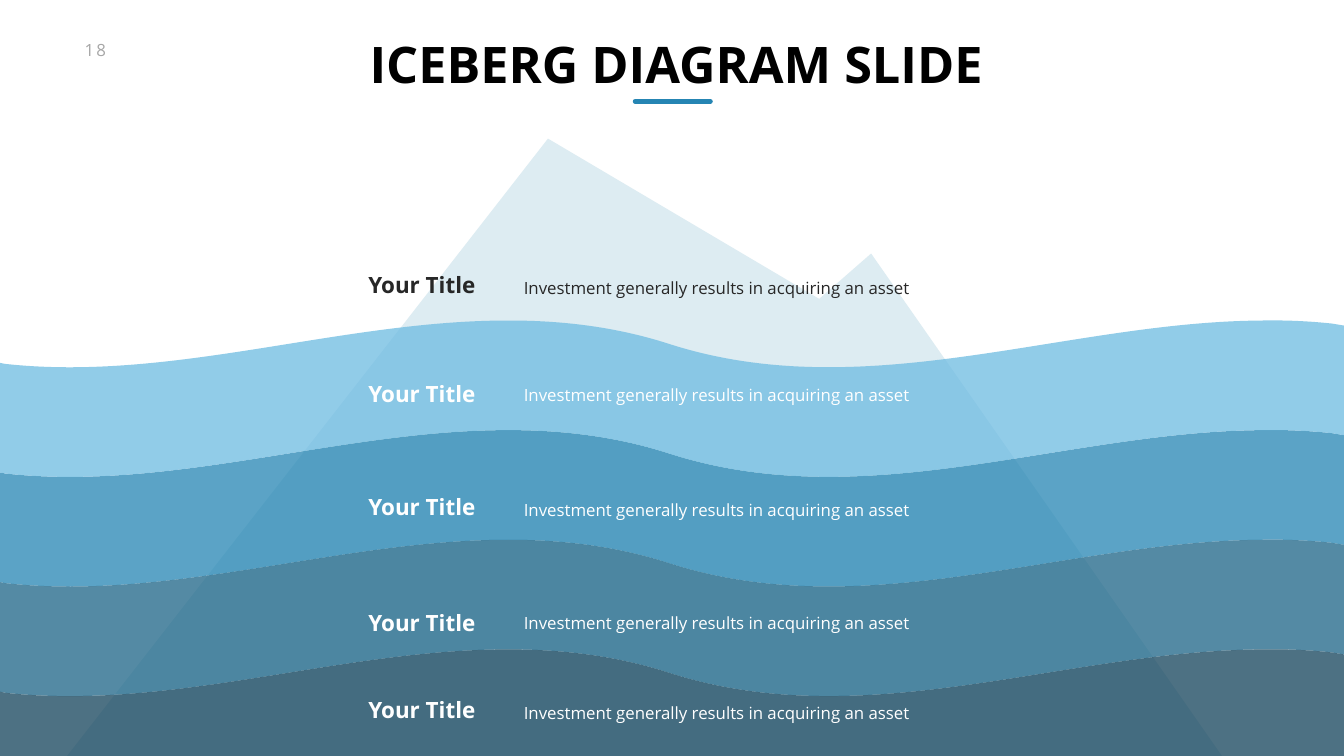
import pptx
import pptx.dml.color
import pptx.enum.shapes
import pptx.enum.text
import pptx.oxml
import pptx.oxml.ns
import pptx.util

WIDTH, HEIGHT = 26.66, 15
FONT = "Open Sans"
COLORS = {
    "number": "A6A6A6", "title": "000000", "accent": "2585B3",
    "dark": "272727", "light": "FFFFFF", "iceberg": "DDECF2",
    "surface": "6DBBE1", "shallow": "2585B3", "middle": "1C6486", "deep": "12425A",
}

# Wave crest, left to right: one point is a line, three points a cubic curve
WAVE_TOP, WAVE_STEP = 6.36, 2.175
CREST = [
    [(0, 0.84)],
    [(0.1, 0.86)],
    [(3.38, 1.22), (6.69, 0.02), (9.98, 0)],
    [(11.07, -0.01), (12.17, 0.11), (13.26, 0.46)],
    [(17.16, 1.72), (21.1, 0.03), (25.01, 0)],
    [(25.48, -0.01), (25.95, 0.01), (26.42, 0.06)],
    [(WIDTH, 0.1)],
]

# Heading top, description top, text colour
ROWS = [(5.33, 5.3, "dark"), (7.48, 7.42, "light"), (9.74, 9.71, "light"),
        (12.03, 11.95, "light"), (13.76, 13.73, "light")]


def rgb(name):
    return pptx.dml.color.RGBColor.from_string(COLORS[name])


def emu(point):
    return tuple(pptx.util.Inches(value) for value in point)


def add_drawing_element(parent, tag, **attributes):
    element = pptx.oxml.parse_xml(f"<a:{tag} {pptx.oxml.ns.nsdecls('a')}/>")
    for name, value in attributes.items():
        element.set(name, str(value))
    parent.append(element)
    return element


def bend_segments(shape, segments):
    """Turn the straight segments that have control points into curves."""
    lines = list(shape._element.iter(pptx.oxml.ns.qn("a:lnTo")))
    for line, segment in zip(lines, segments[1:]):
        if len(segment) == 3:
            parent = line.getparent()
            curve = add_drawing_element(parent, "cubicBezTo")
            for x, y in map(emu, segment):
                add_drawing_element(curve, "pt", x=x - shape.left, y=y - shape.top)
            parent.replace(line, curve)


def add_outline(slide, segments, color, opacity=100):
    """Draw a closed, filled outline from segments in inches."""
    ends = [emu(segment[-1]) for segment in segments]
    builder = slide.shapes.build_freeform(*ends[0])
    builder.add_line_segments(ends[1:], close=True)
    shape = builder.convert_to_shape()
    bend_segments(shape, segments)
    shape.shadow.inherit = False
    shape.line.fill.background()
    shape.fill.solid()
    shape.fill.fore_color.rgb = rgb(color)
    if opacity < 100:
        fill_color = shape._element.spPr.find(".//" + pptx.oxml.ns.qn("a:srgbClr"))
        add_drawing_element(fill_color, "alpha", val=opacity * 1000)


def shift(segments, distance):
    return [[(x, y + distance) for x, y in segment] for segment in segments]


def reverse(segments):
    """Walk the same segments from right to left."""
    backward = [[segments[-1][-1]]]
    for index in range(len(segments) - 1, 0, -1):
        controls = segments[index][:-1]
        backward.append(controls[::-1] + [segments[index - 1][-1]])
    return backward


def add_wave(slide, level, color):
    upper = shift(CREST, WAVE_TOP + level * WAVE_STEP)
    lower = reverse(shift(upper, WAVE_STEP))
    add_outline(slide, upper + lower, color, opacity=75)


def add_text(slide, text, box, font, color, frame_format=None, paragraph_format=None):
    """Place one line of text; each format is a dict of attribute values."""
    frame = slide.shapes.add_textbox(*emu(box)).text_frame
    paragraph = frame.paragraphs[0]
    run = paragraph.add_run()
    run.text = text
    for target, values in ((frame, {"word_wrap": False, **(frame_format or {})}),
                           (paragraph, paragraph_format or {}),
                           (run.font, {"name": FONT, **font})):
        for name, value in values.items():
            setattr(target, name, value)
    run.font.color.rgb = rgb(color)
    return run


def add_title(slide):
    add_text(slide, "ICEBERG DIAGRAM SLIDE", (7.17, 0.65, 12.39, 1.21),
             {"size": pptx.util.Pt(72), "bold": True}, "title",
             {"margin_left": pptx.util.Inches(0.1), "margin_right": 0,
              "margin_top": 0, "margin_bottom": 0},
             {"alignment": pptx.enum.text.PP_ALIGN.CENTER})
    rule = slide.shapes.add_connector(
        pptx.enum.shapes.MSO_CONNECTOR.STRAIGHT, *emu((12.6, 2.01, 14.09, 2.01)))
    rule.line.width = pptx.util.Pt(7)
    rule.line.color.rgb = rgb("accent")
    rule._element.spPr.find(pptx.oxml.ns.qn("a:ln")).set("cap", "rnd")
    add_drawing_element(rule._element.spPr, "effectLst")


def add_row(slide, heading_top, description_top, color):
    add_text(slide, "Your Title", (7.18, heading_top, 2.35, 0.64),
             {"size": pptx.util.Pt(32), "bold": True}, color,
             {"vertical_anchor": pptx.enum.text.MSO_ANCHOR.MIDDLE},
             {"alignment": pptx.enum.text.PP_ALIGN.RIGHT})
    side, edge = emu((0.24, 0.12))
    add_text(slide, "Investment generally results in acquiring an asset",
             (10.15, description_top, 8.38, 0.7),
             {"size": pptx.util.Pt(24)}, color,
             {"word_wrap": True, "margin_left": side, "margin_right": side,
              "margin_top": edge, "margin_bottom": edge},
             {"line_spacing": pptx.util.Pt(35), "space_before": pptx.util.Pt(4.8)})


def main():
    presentation = pptx.Presentation()
    presentation.slide_width, presentation.slide_height = emu((WIDTH, HEIGHT))
    slide = presentation.slides.add_slide(presentation.slide_layouts[6])

    # Slide number
    number = add_text(slide, "18", (1.58, 0.74, 0.75, 0.5),
                      {"size": pptx.util.Pt(24)}, "number")
    number.font._element.set("spc", "300")

    # Iceberg behind the water
    corners = [(1.33, HEIGHT), (10.87, 2.75), (16.25, 5.93), (17.28, 5.03), (24.24, HEIGHT)]
    add_outline(slide, [[corner] for corner in corners], "iceberg")

    # Water layers, from back to front
    for level, color in ((1, "shallow"), (2, "middle"), (0, "surface"), (3, "deep")):
        add_wave(slide, level, color)

    # Title and captions
    add_title(slide)
    for row in ROWS:
        add_row(slide, *row)

    presentation.save("out.pptx")


if __name__ == "__main__":
    main()
